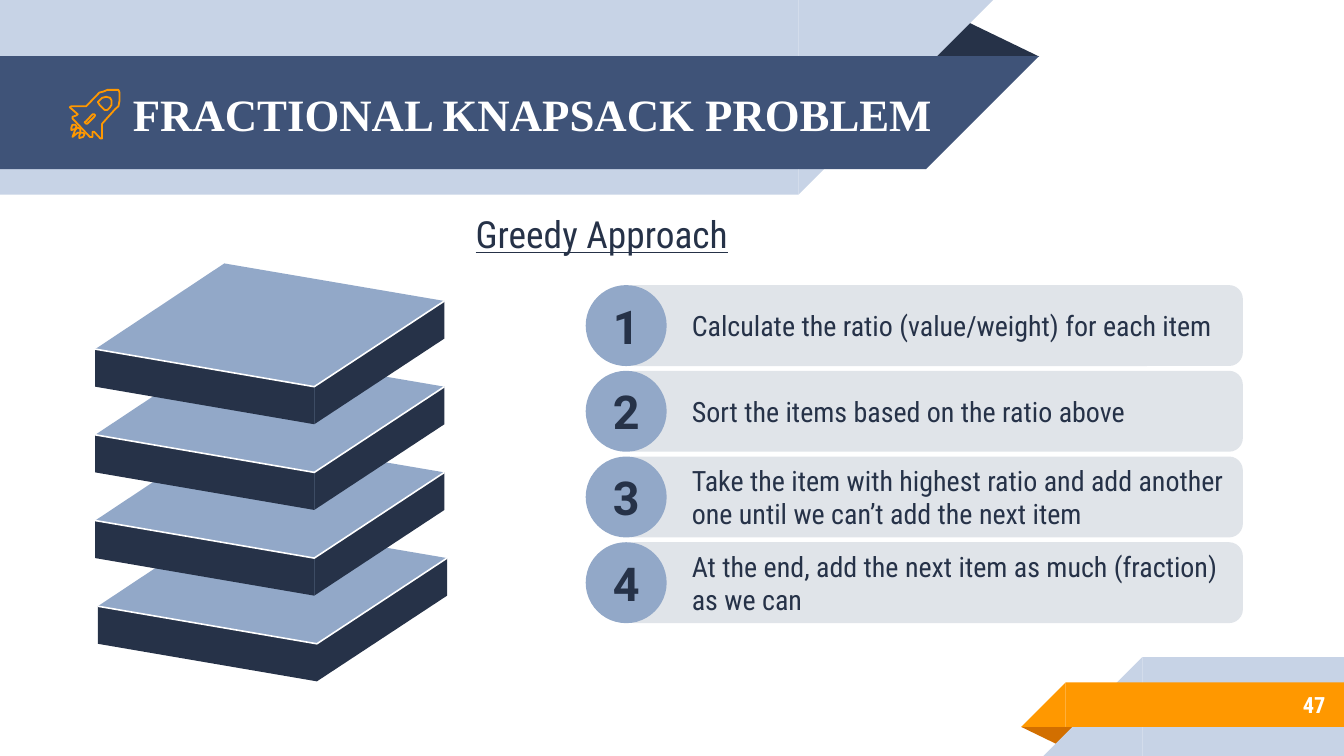
import pptx
import pptx.dml.color
import pptx.enum.shapes
import pptx.enum.text
import pptx.util

Cm = pptx.util.Cm
RGBColor = pptx.dml.color.RGBColor
Shape = pptx.enum.shapes.MSO_SHAPE
Align = pptx.enum.text.PP_ALIGN

NAVY = RGBColor(0x26, 0x32, 0x48)
BLUE = RGBColor(0x3F, 0x53, 0x78)
STEEL = RGBColor(0x92, 0xA8, 0xC8)
PALE_BLUE = RGBColor(0xC7, 0xD3, 0xE6)
PALE_GREY = RGBColor(0xE0, 0xE4, 0xE9)
ORANGE = RGBColor(0xFF, 0x98, 0x00)
DARK_ORANGE = RGBColor(0xD2, 0x6F, 0x00)
WHITE = RGBColor(0xFF, 0xFF, 0xFF)

TITLE_TEXT = {"name": "Times New Roman", "size": 24, "bold": True, "color": WHITE}
HEADING_TEXT = {"name": "Roboto Condensed", "size": 20, "underline": True, "color": NAVY}
STEP_TEXT = {"name": "Roboto Condensed", "size": 15, "color": NAVY}
NUMBER_TEXT = {"name": "Roboto", "size": 25, "bold": True, "color": NAVY}
PAGE_TEXT = {"name": "Roboto Condensed", "size": 12, "bold": True, "color": WHITE}

STEPS = [
    "Calculate the ratio (value/weight) for each item",
    "Sort the items based on the ratio above",
    "Take the item with highest ratio and add another one until we can’t add the next item",
    "At the end, add the next item as much (fraction) as we can",
]
STEP_PITCH = 1.62
STEP_TOP = 5.39
STEP_HEIGHT = 1.53
SLAB_TOP = 4.98
SLAB_THICKNESS = 0.71

# Rocket outlines, in centimetres on the slide
ROCKET_BODY = [
    (1.93, 2.59), (1.93, 2.34), (2.18, 2.06), (2.24, 2.01), (2.26, 1.9), (2.26, 1.75),
    (2.24, 1.7), (2.18, 1.7), (2.03, 1.7), (1.96, 1.73), (1.88, 1.75), (1.63, 2.01),
    (1.35, 2.01), (1.32, 2.03), (1.47, 2.16), (1.45, 2.18), (1.37, 2.21), (1.37, 2.24),
    (1.7, 2.59), (1.75, 2.59), (1.75, 2.49), (1.78, 2.49), (1.9, 2.62), (1.93, 2.62),
]
ROCKET_SLOT = [
    (1.65, 2.34), (1.63, 2.34), (1.6, 2.31), (1.63, 2.29),
    (1.75, 2.16), (1.78, 2.16), (1.8, 2.18), (1.78, 2.21),
]
ROCKET_WINDOW = [
    (2.03, 2.08), (1.98, 2.08), (1.88, 1.98), (1.85, 1.93), (1.88, 1.9), (1.93, 1.85),
    (2.01, 1.83), (2.08, 1.85), (2.11, 1.9), (2.11, 1.98), (2.08, 2.03),
]
FLAME = [
    (1.52, 2.44), (1.47, 2.41), (1.42, 2.46), (1.37, 2.59),
    (1.47, 2.51), (1.52, 2.51), (1.52, 2.46),
]
SPARK = [(1.42, 2.36), (1.37, 2.36), (1.35, 2.41), (1.35, 2.46), (1.42, 2.44), (1.45, 2.39)]
SPARK_SHIFT = 0.15


def paint(shape, fill=None, line=None, line_width=1):
    shape.shadow.inherit = False
    if fill is None:
        shape.fill.background()
    else:
        shape.fill.solid()
        shape.fill.fore_color.rgb = fill
    if line is None:
        shape.line.fill.background()
    else:
        shape.line.color.rgb = line
        shape.line.width = pptx.util.Pt(line_width)


def write(shape, text, text_format, align=Align.LEFT, left_inset=0.25, wrap=True):
    frame = shape.text_frame
    frame_format = {
        "auto_size": pptx.enum.text.MSO_AUTO_SIZE.NONE,
        "word_wrap": wrap,
        "vertical_anchor": pptx.enum.text.MSO_ANCHOR.MIDDLE,
        "margin_left": Cm(left_inset),
        "margin_right": Cm(0.25),
        "margin_top": Cm(0.25),
        "margin_bottom": Cm(0.25),
    }
    for name, value in frame_format.items():
        setattr(frame, name, value)
    para = frame.paragraphs[0]
    para.alignment = align
    span = para.add_run()
    span.text = text
    for name, value in text_format.items():
        if name == "color":
            span.font.color.rgb = value
        elif name == "size":
            span.font.size = pptx.util.Pt(value)
        else:
            setattr(span.font, name, value)


def add_preset(page, kind, place, fill, rotation=0, adjustment=None):
    shape = page.shapes.add_shape(kind, *map(Cm, place))
    shape.rotation = rotation
    if adjustment is not None:
        shape.adjustments[0] = adjustment
    paint(shape, fill)
    return shape


def add_text_box(page, place, text, text_format, **layout):
    box = page.shapes.add_textbox(*map(Cm, place))
    write(box, text, text_format, **layout)


def add_outline(page, contours, close=True, **colours):
    """Draw one freeform from contours of (x, y) points in centimetres."""
    contours = [[(Cm(x), Cm(y)) for x, y in points] for points in contours]
    builder = page.shapes.build_freeform(*contours[0][0])
    for number, points in enumerate(contours):
        if number:
            builder.move_to(*points[0])
        builder.add_line_segments(points[1:], close=close)
    paint(builder.convert_to_shape(), **colours)


def add_ribbons(page):
    add_preset(page, Shape.ISOSCELES_TRIANGLE, (17.48, 0.36, 2.16, 0.71), NAVY, adjustment=0.32)
    for top, body_width, height, fill in [(0, 15.09, 3.68, PALE_BLUE), (1.06, 17.5, 2.14, BLUE)]:
        add_preset(page, Shape.RECTANGLE, (0, top, body_width, height), fill)
        add_preset(page, Shape.RIGHT_TRIANGLE, (body_width, top, height, height), fill, 90)

    add_preset(page, Shape.ISOSCELES_TRIANGLE, (19.3, 13.74, 1.09, 0.36), DARK_ORANGE, 180, 0.32)
    for left, top, height, fill in [(21.59, 12.42, 1.87, PALE_BLUE), (20.14, 12.9, 0.84, ORANGE)]:
        add_preset(page, Shape.RECTANGLE, (left, top, 25.4 - left, height), fill)
        add_preset(page, Shape.RIGHT_TRIANGLE, (left - height, top, height, height), fill, 270)


def add_title(page, text):
    title = page.shapes.title
    title.left, title.top, title.width, title.height = map(Cm, (2.26, 1.09, 15.72, 2.13))
    write(title, text, TITLE_TEXT)
    # Bring the title in front of the ribbons
    title.element.getparent().append(title.element)


def add_rocket(page):
    far_spark = [(x + SPARK_SHIFT, y + SPARK_SHIFT) for x, y in SPARK]
    for contours in ([ROCKET_BODY, ROCKET_SLOT, ROCKET_WINDOW], [FLAME], [far_spark], [SPARK]):
        add_outline(page, contours, line=ORANGE, line_width=0.96)


def add_slab(page, left, top):
    back, right, front, side = [
        (left + x, top + y) for x, y in [(2.44, 0), (6.6, 0.71), (4.14, 2.33), (0, 1.62)]
    ]
    low_right, low_front, low_side = [
        (x, y + SLAB_THICKNESS) for x, y in (right, front, side)
    ]
    add_outline(page, [[low_front, low_right, right, front]], fill=NAVY)
    add_outline(page, [[front, right, back, side]], fill=STEEL)
    add_outline(page, [[side, low_side, low_front, front]], fill=NAVY)
    add_outline(page, [[side, front, right]], close=False, line=WHITE, line_width=0.85)


def add_step(page, number, text, top):
    bar = add_preset(page, Shape.ROUNDED_RECTANGLE, (11.73, top, 11.76, STEP_HEIGHT),
                     PALE_GREY, adjustment=0.17)
    write(bar, text, STEP_TEXT, left_inset=1.27)
    badge = add_preset(page, Shape.OVAL, (11.07, top, STEP_HEIGHT, STEP_HEIGHT), STEEL)
    write(badge, str(number), NUMBER_TEXT, align=Align.CENTER)


def main():
    deck = pptx.Presentation()
    deck.slide_width, deck.slide_height = Cm(25.4), Cm(14.29)
    page = deck.slides.add_slide(deck.slide_layouts[5])

    add_ribbons(page)
    add_title(page, "FRACTIONAL KNAPSACK PROBLEM")
    add_text_box(page, (21.16, 12.88, 4.14, 0.89), "47", PAGE_TEXT, align=Align.RIGHT)
    add_rocket(page)
    # The lowest slab comes first so that each one above overlaps it
    for index in reversed(range(len(STEPS))):
        slab_left = 1.85 if index == len(STEPS) - 1 else 1.8
        add_slab(page, slab_left, SLAB_TOP + index * STEP_PITCH)
        add_step(page, index + 1, STEPS[index], STEP_TOP + index * STEP_PITCH)
    add_text_box(page, (8.71, 3.86, 5.33, 1.12), "Greedy Approach", HEADING_TEXT,
                 align=Align.CENTER, wrap=False)

    deck.save("out.pptx")


if __name__ == "__main__":
    main()
